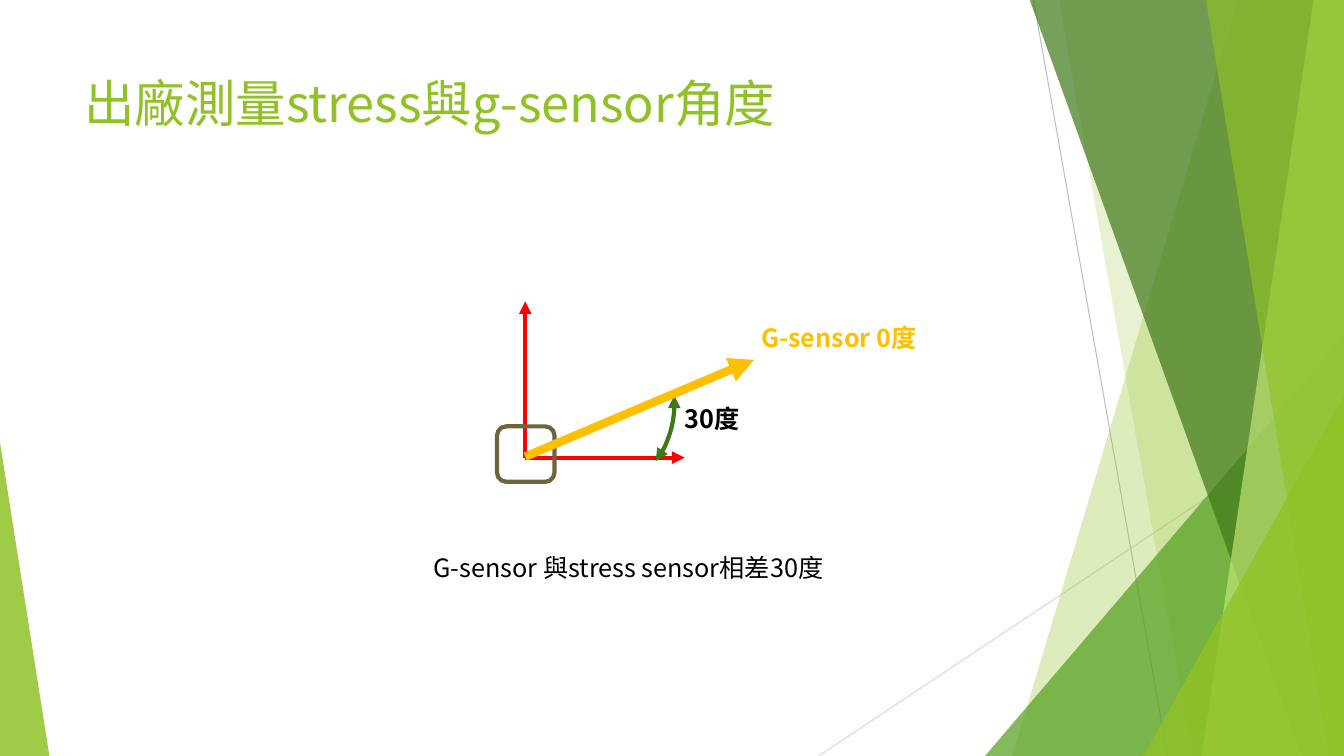
import pptx
import pptx.dml.color
import pptx.enum.shapes
import pptx.enum.text
import pptx.oxml.ns
import pptx.oxml.xmlchemy
import pptx.util
from pptx.util import Inches

SHAPES = pptx.enum.shapes.MSO_SHAPE
FONT = "Noto Sans CJK SC"
LIME, LEAF, FOREST, PALE = "90C226", "54A021", "3F7819", "C0E474"
RED, GOLD, OLIVE, BLACK = "FF0000", "FFC000", "6D6540", "000000"
WIDTH, HEIGHT, TOP = 13.33, 7.5, -0.01


def color(value):
    """Turn a hex string into a colour."""
    return pptx.dml.color.RGBColor.from_string(value)


def add_child(parent, tag, **attributes):
    """Append a drawing element with the given attributes."""
    child = pptx.oxml.xmlchemy.OxmlElement(tag)
    for name, value in attributes.items():
        child.set(name, str(value))
    parent.append(child)


class Page:
    """Holds the text style and the current slide."""

    def __init__(self, deck, font):
        """Add a blank slide to the deck."""
        self.font = font
        self.shapes = deck.slides.add_slide(deck.slide_layouts[6]).shapes

    def stroke(self, item, hue, width, ends=()):
        """Set the outline and put triangles on the named ends."""
        item.line.color.rgb = color(hue)
        item.line.width = pptx.util.Pt(width)
        outline = item.element.spPr.find(pptx.oxml.ns.qn("a:ln"))
        for end in ends:
            add_child(outline, f"a:{end}End", type="triangle")

    def paint(self, item, fill, opacity=100):
        """Give a shape a flat fill, or none, without shadow or outline."""
        item.shadow.inherit = False
        item.line.fill.background()
        if fill is None:
            item.fill.background()
            return
        item.fill.solid()
        item.fill.fore_color.rgb = color(fill)
        hue = item.element.spPr.find(".//" + pptx.oxml.ns.qn("a:srgbClr"))
        add_child(hue, "a:alpha", val=opacity * 1000)

    def line(self, start, finish, hue, width, ends=()):
        """Draw a straight line between two points."""
        item = self.shapes.add_connector(
            pptx.enum.shapes.MSO_CONNECTOR.STRAIGHT,
            *map(Inches, start + finish))
        self.stroke(item, hue, width, ends)
        add_child(item.element.spPr, "a:effectLst")

    def shape(self, kind, frame, fill=None, opacity=100, adjust=()):
        """Draw a preset shape and return it."""
        item = self.shapes.add_shape(kind, *map(Inches, frame))
        for index, value in enumerate(adjust):
            item.adjustments[index] = value
        self.paint(item, fill, opacity)
        return item

    def panel(self, top_left, bottom_left, fill, opacity):
        """Draw a slanted panel that reaches the right edge of the slide."""
        corners = [(top_left, TOP), (WIDTH, TOP),
                   (WIDTH, HEIGHT), (bottom_left, HEIGHT)]
        points = [(Inches(x), Inches(y)) for x, y in corners]
        builder = self.shapes.build_freeform(*points[0], scale=1.0)
        builder.add_line_segments(points[1:], close=True)
        self.paint(builder.convert_to_shape(), fill, opacity)

    def text(self, words, frame, size=18, hue=BLACK, bold=False):
        """Write one paragraph in a wrapping text box."""
        box = self.shapes.add_textbox(*map(Inches, frame))
        box.text_frame.word_wrap = True
        box.text_frame.auto_size = pptx.enum.text.MSO_AUTO_SIZE.NONE
        span = box.text_frame.paragraphs[0].add_run()
        span.text = words
        span.font.name = self.font
        span.font.size = pptx.util.Pt(size)
        span.font.bold = bold
        span.font.color.rgb = color(hue)
        add_child(span.font._element, "a:ea", typeface=self.font)


def draw_backdrop(page):
    """Draw the thin lines and the green facets along the edges."""
    page.line((10.25, 0), (11.58, HEIGHT), "BFBFBF", 0.75)
    page.line((WIDTH, 4.03), (8.12, HEIGHT), "D9D9D9", 0.75)
    page.panel(12.28, 10.04, LIME, 30)
    page.panel(10.5, 11.83, LIME, 20)
    page.shape(SHAPES.ISOSCELES_TRIANGLE, (9.77, 3.33, 3.56, 4.17), LEAF, 72, [1])
    page.panel(10.21, 12.91, FOREST, 70)
    page.panel(13.03, 11.92, PALE, 70)
    page.panel(11.96, 13.18, LIME, 65)
    page.shape(SHAPES.ISOSCELES_TRIANGLE, (11.34, 3.93, 1.99, 3.57), LIME, 80, [1])
    page.shape(SHAPES.ISOSCELES_TRIANGLE, (0, 4.39, 0.49, 3.11), LIME, 85, [0])


def draw_angle(page):
    """Draw the sensor, its axes and the angle between them."""
    origin = (5.21, 4.54)
    for tip in [(6.79, 4.54), (5.21, 2.99)]:
        page.line(origin, tip, RED, 3, ["tail"])
    sensor = page.shape(SHAPES.ROUNDED_RECTANGLE, (4.93, 4.23, 0.57, 0.55))
    page.stroke(sensor, OLIVE, 3)
    arc = page.shape(SHAPES.ARC, (5.59, 3.2, 1.1, 1.57), adjust=[212.19, 35.05])
    page.stroke(arc, FOREST, 3, ["head", "tail"])
    page.text("30度", (6.69, 3.95, 0.76, 0.4), bold=True)
    page.line((5.21, 4.53), (7.48, 3.57), GOLD, 6, ["tail"])
    page.text("G-sensor 與stress sensor相差30度", (4.2, 5.43, 4.3, 0.4))
    page.text("G-sensor 0度", (7.45, 3.15, 1.77, 0.4), hue=GOLD, bold=True)


def main():
    """Build the slide and save it."""
    deck = pptx.Presentation()
    deck.slide_width, deck.slide_height = Inches(WIDTH), Inches(HEIGHT)
    page = Page(deck, FONT)
    draw_backdrop(page)
    page.text("出廠測量stress與g-sensor角度", (0.74, 0.67, 9.4, 1.44), size=36, hue=LIME)
    draw_angle(page)
    deck.save("out.pptx")


main()
